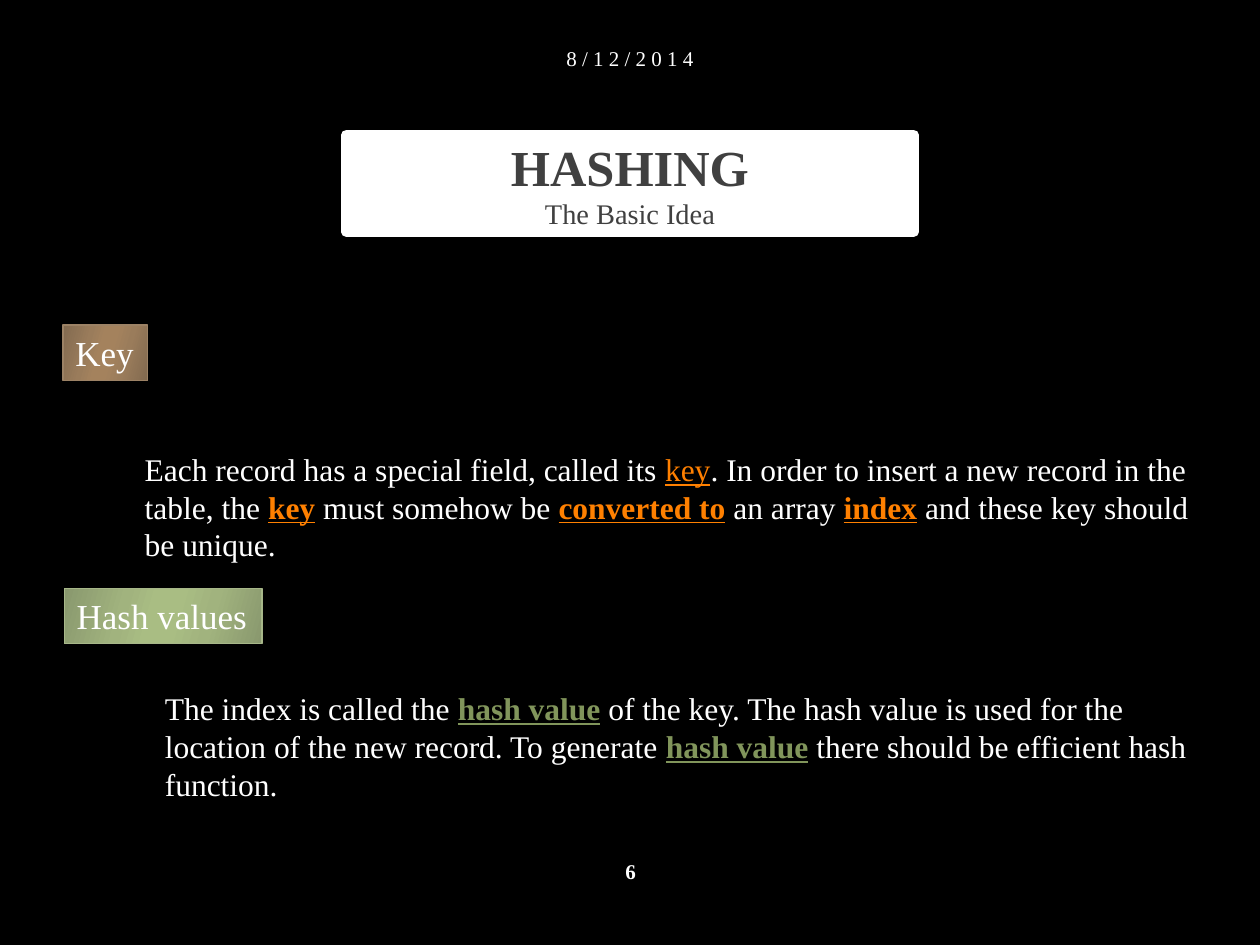
from dataclasses import dataclass

from lxml import etree
from pptx import Presentation
from pptx.dml.color import RGBColor
from pptx.enum.shapes import MSO_SHAPE
from pptx.enum.text import MSO_ANCHOR, PP_ALIGN
from pptx.oxml import parse_xml
from pptx.oxml.ns import nsdecls, qn
from pptx.slide import Slide
from pptx.text.text import TextFrame, _Paragraph
from pptx.util import Inches, Pt

FONT = "Times New Roman"
BLACK = RGBColor(0x00, 0x00, 0x00)
WHITE = RGBColor(0xFF, 0xFF, 0xFF)
DARK_GRAY = RGBColor(0x40, 0x40, 0x40)
ORANGE = RGBColor(0xFF, 0x80, 0x00)
OLIVE = RGBColor(0x81, 0x95, 0x5B)
BROWN_SHADES = (RGBColor(0x82, 0x6A, 0x50), RGBColor(0x9A, 0x7C, 0x5B), RGBColor(0xA4, 0x82, 0x5D))
GREEN_SHADES = (RGBColor(0x89, 0x98, 0x6E), RGBColor(0xA1, 0xB3, 0x7E), RGBColor(0xA9, 0xBD, 0x83))
BROWN_EDGE = RGBColor(0x9C, 0x82, 0x65)
GREEN_EDGE = RGBColor(0xA7, 0xB7, 0x89)


@dataclass(frozen=True)
class Box:
    left: float
    top: float
    width: float
    height: float

    def lengths(self) -> tuple:
        return tuple(Inches(v) for v in (self.left, self.top, self.width, self.height))


@dataclass(frozen=True)
class Term:
    """A highlighted, underlined phrase within an explanation."""
    text: str
    bold: bool = True


@dataclass(frozen=True)
class Topic:
    label: str
    label_box: Box
    shades: tuple
    edge: RGBColor
    explanation: tuple
    explanation_box: Box
    accent: RGBColor


TOPICS = (
    Topic(
        "Key", Box(0.5, 2.58, 0.67, 0.44), BROWN_SHADES, BROWN_EDGE,
        ("Each record has a special field, called its ", Term("key", bold=False),
         ". In order to insert a new record in the table, the ", Term("key"),
         " must somehow be ", Term("converted to"), " an array ", Term("index"),
         " and these key should be unique."),
        Box(1.05, 3.52, 8.75, 1.31), ORANGE,
    ),
    Topic(
        "Hash values", Box(0.51, 4.67, 1.57, 0.44), GREEN_SHADES, GREEN_EDGE,
        ("The index is called the ", Term("hash value"),
         " of the key. The hash value is used for the location of the new record. To generate ",
         Term("hash value"), " there should be efficient hash function."),
        Box(1.21, 5.42, 8.58, 0.71), OLIVE,
    ),
)


def set_font(paragraph: _Paragraph, size: float, color: RGBColor = WHITE) -> None:
    paragraph.font.name = FONT
    paragraph.font.size = Pt(size)
    paragraph.font.color.rgb = color


def add_text_frame(slide: Slide, box: Box) -> TextFrame:
    frame = slide.shapes.add_textbox(*box.lengths()).text_frame
    frame.word_wrap = True
    return frame


def add_title(slide: Slide, heading: str, subtitle: str) -> None:
    title = slide.shapes.title
    title.left, title.top, title.width, title.height = Box(2.75, 1.07, 4.5, 0.77).lengths()
    title.fill.solid()
    title.fill.fore_color.rgb = WHITE
    title.line.color.rgb = WHITE
    title.line.width = Pt(6)
    title.text_frame.vertical_anchor = MSO_ANCHOR.MIDDLE
    paragraph = title.text_frame.paragraphs[0]
    paragraph.alignment = PP_ALIGN.CENTER
    paragraph.space_before = Pt(4)
    set_font(paragraph, 28.8, DARK_GRAY)
    heading_run = paragraph.add_run()
    heading_run.text = heading
    heading_run.font.bold = True
    paragraph.add_line_break()
    subtitle_run = paragraph.add_run()
    subtitle_run.text = subtitle
    subtitle_run.font.size = Pt(16.2)


def add_centered_note(slide: Slide, text: str, box: Box) -> TextFrame:
    frame = add_text_frame(slide, box)
    frame.vertical_anchor = MSO_ANCHOR.MIDDLE
    paragraph = frame.paragraphs[0]
    paragraph.alignment = PP_ALIGN.CENTER
    paragraph.add_run().text = text
    set_font(paragraph, 12)
    return frame


def add_label(slide: Slide, topic: Topic) -> None:
    label = slide.shapes.add_shape(MSO_SHAPE.RECTANGLE, *topic.label_box.lengths())
    label.line.color.rgb = topic.edge
    label.line.width = Pt(0.75)
    dark, medium, light = topic.shades
    stops = ((0, dark), (30, medium), (45, light), (55, light), (73, medium), (100, dark))
    stop_xml = "".join(
        f'<a:gs pos="{position * 1000}"><a:srgbClr val="{color}"/></a:gs>'
        for position, color in stops
    )
    line = label._element.spPr.find(qn("a:ln"))
    line.addprevious(parse_xml(
        f'<a:gradFill {nsdecls("a")} rotWithShape="1"><a:gsLst>{stop_xml}</a:gsLst>'
        '<a:lin ang="960000" scaled="0"/></a:gradFill>'
    ))
    line.addnext(parse_xml(
        f'<a:effectLst {nsdecls("a")}><a:outerShdw blurRad="50800" dist="41910" '
        f'dir="5400000" rotWithShape="0"><a:srgbClr val="{BLACK}">'
        '<a:alpha val="40000"/></a:srgbClr></a:outerShdw></a:effectLst>'
    ))
    frame = label.text_frame
    frame.word_wrap = False
    frame.vertical_anchor = MSO_ANCHOR.TOP
    paragraph = frame.paragraphs[0]
    paragraph.alignment = PP_ALIGN.LEFT
    paragraph.add_run().text = topic.label
    set_font(paragraph, 20)


def add_explanation(slide: Slide, topic: Topic) -> None:
    paragraph = add_text_frame(slide, topic.explanation_box).paragraphs[0]
    set_font(paragraph, 18)
    for part in topic.explanation:
        run = paragraph.add_run()
        if isinstance(part, Term):
            run.text = part.text
            run.font.bold = part.bold
            run.font.underline = True
            run.font.color.rgb = topic.accent
        else:
            run.text = part


def main() -> None:
    presentation = Presentation()
    presentation.slide_width = Inches(10)
    presentation.slide_height = Inches(7.5)
    slide = presentation.slides.add_slide(presentation.slide_layouts[5])
    slide.background.fill.solid()
    slide.background.fill.fore_color.rgb = BLACK

    add_title(slide, "HASHING", "The Basic Idea")
    date = add_centered_note(slide, "8/12/2014", Box(3.26, 0.3, 3.48, 0.32))
    date.paragraphs[0].runs[0].font._element.set("spc", "300")
    number = add_centered_note(slide, "6", Box(4.42, 6.75, 1.17, 0.33))
    number.margin_left = number.margin_right = number.margin_top = number.margin_bottom = 0
    number.paragraphs[0].font.bold = True

    for topic in TOPICS:
        add_label(slide, topic)
        add_explanation(slide, topic)
    presentation.save("out.pptx")


if __name__ == "__main__":
    main()
